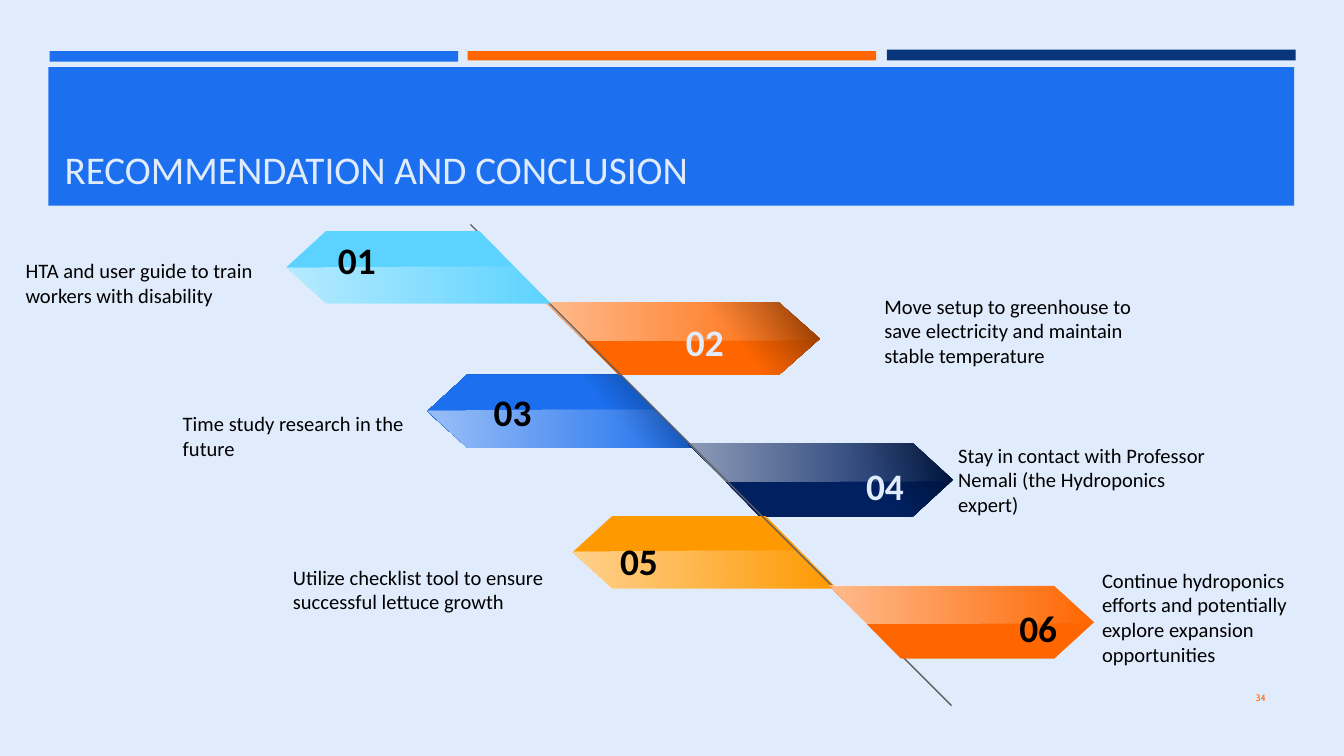
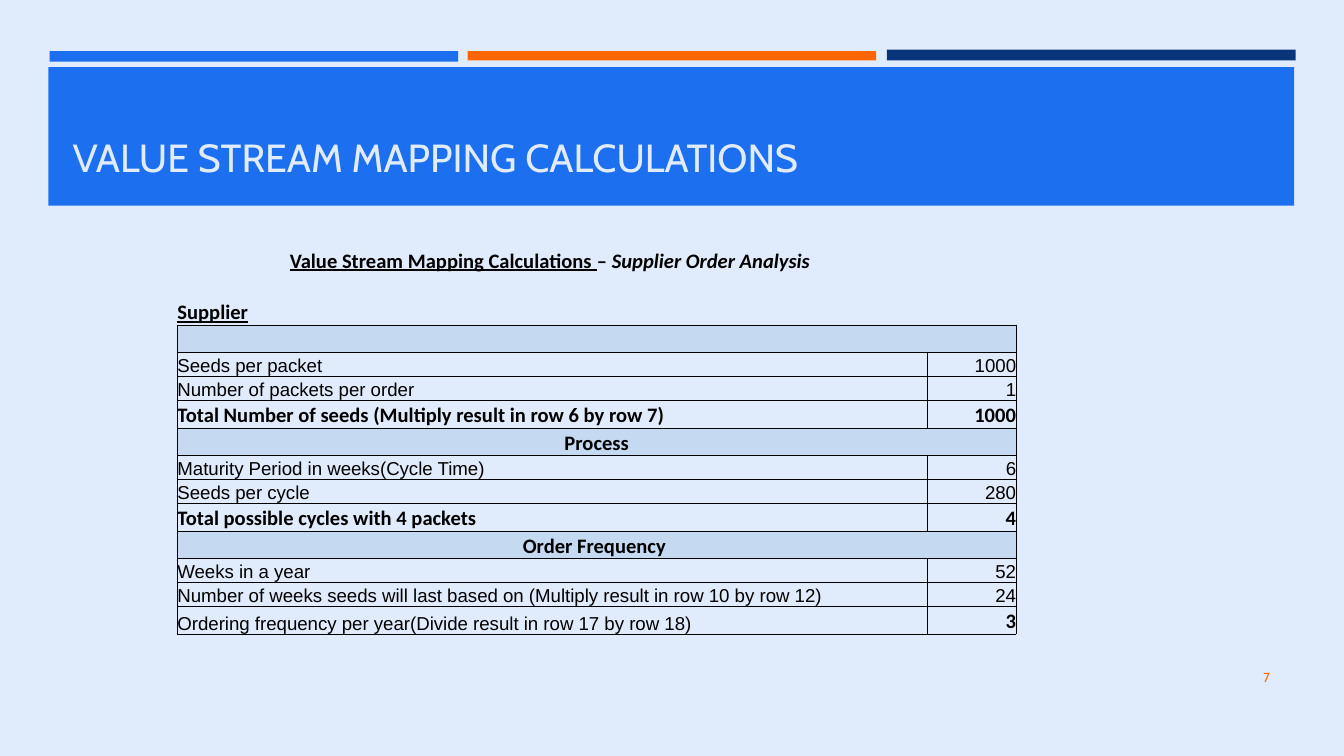
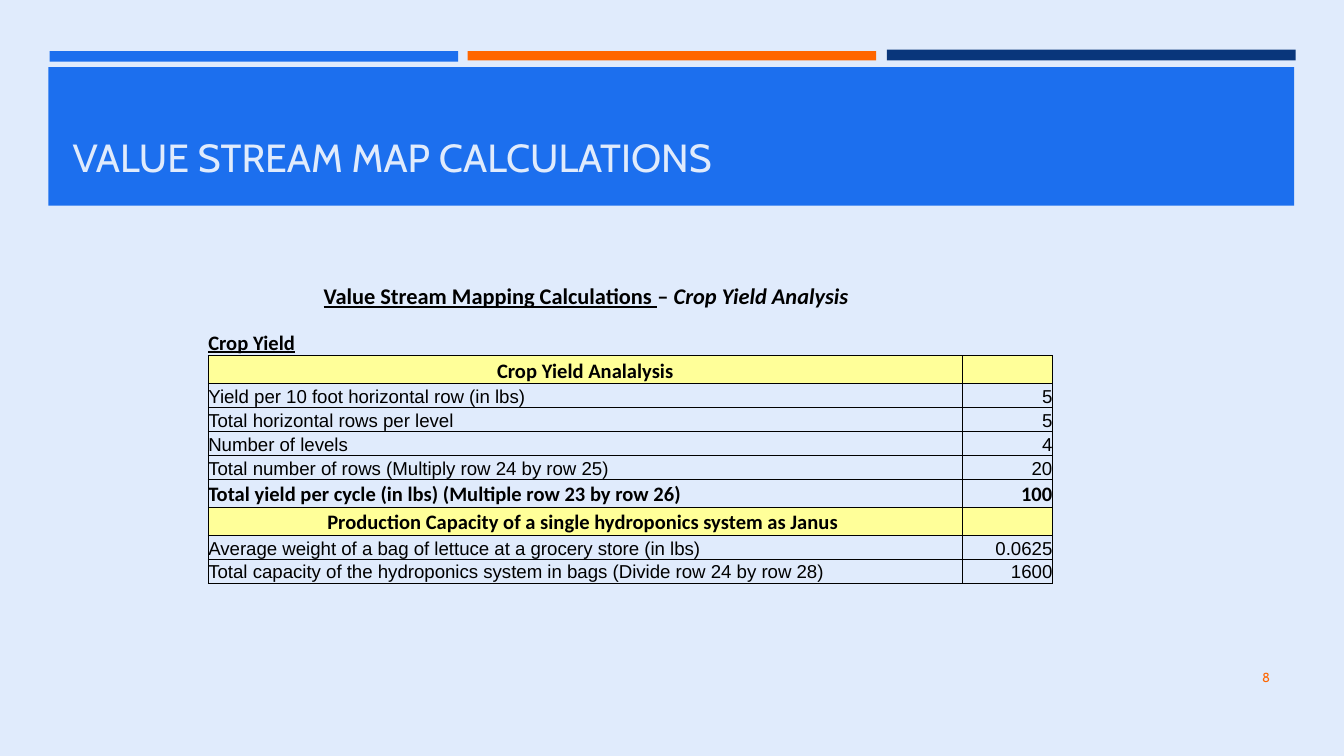
from dataclasses import dataclass
from typing import Optional

from lxml.etree import SubElement
from pptx import Presentation
from pptx.dml.color import RGBColor
from pptx.enum.shapes import MSO_CONNECTOR, MSO_SHAPE
from pptx.enum.text import MSO_ANCHOR as ANCHOR, MSO_AUTO_SIZE as AUTO, PP_ALIGN as ALIGN
from pptx.oxml import parse_xml
from pptx.oxml.ns import nsdecls, qn
from pptx.util import Inches, Pt

PALE, BLUE, ORANGE, NAVY = "E0EBFC", "1C6FEE", "FF6600", "09367B"
BLACK, GREY = "000000", "5F5F5F"
BARS = [(0.37, 0.38, 0.08, BLUE), (6.6, 0.37, 0.08, NAVY), (3.48, 0.38, 0.07, ORANGE)]
HEADING = "Value Stream Mapping Calculations "
RIBBON_H = 0.54
RIBBON_OUTLINE = [(0.15, 0), (0.73, 0), (1, 0.54), (0.15, 0.54), (0, 0.27)]
GLOSS_OUTLINE = [(0.86, 0), (1, 0.28), (0.15, 0.28), (0, 0.01)]


@dataclass(frozen=True)
class Style:
    """Font settings of a piece of text."""
    size: float
    font: str
    color: str = BLACK
    bold: bool = False
    underline: bool = False


PLAIN = Style(10, "Arial")
STRONG = Style(11, "Calibri", bold=True)
CAPTION = Style(11, "Calibri", bold=True, underline=True)
LABEL = Style(11, "Calibri")


@dataclass(frozen=True)
class Ribbon:
    """A numbered arrow along the diagonal and its label."""
    number: str
    left: float
    top: float
    color: str
    number_at: tuple[float, float]
    label: str
    label_box: tuple[float, float, float, float]
    right: bool = False
    shade: str = ""
    number_color: str = BLACK
    width: float = 1.97


@dataclass(frozen=True)
class Row:
    """A table row: its texts, styles, fill and borders."""
    label: str = ""
    value: str = ""
    style: Style = PLAIN
    value_style: Optional[Style] = None
    fill: str = ""
    edges: str = "LRTB"
    topic: str = ""


RIBBONS = [
    Ribbon("03", 3.18, 2.79, BLUE, (3.56, 2.84), "Time study research in the future",
           (1.36, 3.01, 2.03, 0.47), shade="09377C"),
    Ribbon("02", 4.06, 2.25, ORANGE, (4.99, 2.32),
           "Move setup to greenhouse to save electricity and maintain stable temperature",
           (6.58, 2.13, 2.03, 0.66), True, "803300", PALE, 2.04),
    Ribbon("04", 5.12, 3.3, "002060", (6.33, 3.39),
           "Stay in contact with Professor Nemali (the Hydroponics expert)",
           (7.13, 3.24, 2.03, 0.66), True, "001030", PALE),
    Ribbon("05", 4.26, 3.84, "FF9900", (4.5, 3.95),
           "Utilize checklist tool to ensure successful lettuce growth",
           (2.18, 4.15, 2.03, 0.47)),
    Ribbon("01", 2.13, 1.72, "5CD3FF", (2.4, 1.71),
           "HTA and user guide to train workers with disability",
           (0.19, 1.87, 2.03, 0.47)),
    Ribbon("06", 6.17, 4.36, ORANGE, (7.47, 4.45),
           "Continue hydroponics efforts and potentially explore expansion opportunities",
           (8.2, 4.17, 1.86, 0.84), True),
]


def band(label: str, fill: str) -> Row:
    """Describe a filled section row."""
    return Row(label, style=STRONG, fill=fill)


def total(label: str, value: str) -> Row:
    """Describe a bold total row."""
    return Row(label, value, STRONG)


SUPPLIER_FILL, YIELD_FILL = "C5D9F1", "FFFF99"
SUPPLIER_ROWS = [
    Row(topic="Supplier Order Analysis ", style=STRONG, edges=""),
    Row(edges=""),
    Row("Supplier", style=CAPTION, edges="B"),
    band("", SUPPLIER_FILL),
    Row("Seeds per packet", "1000"),
    Row("Number of packets per order", "1"),
    total("Total Number of seeds (Multiply result in row 6 by row 7)", "1000"),
    band("Process", SUPPLIER_FILL),
    Row("Maturity Period in weeks(Cycle Time)", "6"),
    Row("Seeds per cycle", "280"),
    total("Total possible cycles with 4 packets", "4"),
    band("Order Frequency ", SUPPLIER_FILL),
    Row("Weeks in a year", "52"),
    Row("Number of weeks seeds will last based on (Multiply result in row 10 by row 12)", "24"),
    Row("Ordering frequency per year(Divide result in row 17 by row 18)", "3", value_style=STRONG),
]
YIELD_ROWS = [
    Row("Crop Yield", style=CAPTION, edges="B"),
    band("Crop Yield Analalysis", YIELD_FILL),
    Row("Yield per 10 foot horizontal row (in lbs)", "5"),
    Row("Total horizontal rows per level", "5"),
    Row("Number of levels", "4"),
    Row("Total number of rows (Multiply row 24 by row 25)", "20"),
    total("Total yield per cycle (in lbs) (Multiple row 23 by row 26)", "100"),
    band("Production Capacity of a single hydroponics system as Janus ", YIELD_FILL),
    Row("Average weight of a bag of lettuce at a grocery store (in lbs)", "0.0625"),
    Row("Total capacity of the hydroponics system in bags (Divide row 24 by row 28)", "1600"),
]


def rgb(color: str) -> RGBColor:
    """Turn a hex string into a colour."""
    return RGBColor.from_string(color)


def set_font(font, style: Style) -> None:
    """Apply a style to a font."""
    font.size, font.name = Pt(style.size), style.font
    font.bold, font.underline = style.bold, style.underline
    font.color.rgb = rgb(style.color)


def write(p, text: str, style: Style, align=ALIGN.LEFT) -> None:
    """Write one uniformly styled paragraph."""
    p.alignment = align
    if text:
        p.add_run().text = text
        set_font(p.font, style)
    else:
        SubElement(p._p, qn("a:endParaRPr"), sz=str(int(style.size * 100)))


def write_heading(p, topic: str, size: float) -> None:
    """Write the underlined heading followed by its italic topic."""
    p.alignment = ALIGN.CENTER
    set_font(p.font, Style(size, "Calibri", bold=True))
    for text, underline, italic in ((HEADING, True, False), ("– ", False, False), (topic, False, True)):
        r = p.add_run()
        r.text = text
        r.font.underline, r.font.italic = underline, italic


def add_box(s, box: tuple, insets: tuple = (0.1, 0.05, 0.1, 0.05),
            anchor=ANCHOR.MIDDLE, wrap: bool = True, grow: bool = False):
    """Add an empty text box and return its first paragraph."""
    tf = s.shapes.add_textbox(*map(Inches, box)).text_frame
    tf.margin_left, tf.margin_top, tf.margin_right, tf.margin_bottom = map(Inches, insets)
    tf.vertical_anchor, tf.word_wrap = anchor, wrap
    tf.auto_size = AUTO.SHAPE_TO_FIT_TEXT if grow else AUTO.NONE
    return tf.paragraphs[0]


def add_rect(s, left: float, top: float, width: float, height: float, color: str) -> None:
    """Add a plain filled rectangle."""
    sp = s.shapes.add_shape(MSO_SHAPE.RECTANGLE, *map(Inches, (left, top, width, height)))
    sp.shadow.inherit = False
    sp.fill.solid()
    sp.fill.fore_color.rgb = rgb(color)
    sp.line.fill.background()


def add_slide(prs, title: str, page: str, font: str = "Cabin", title_at: tuple = (0.47, 0.6),
              page_at: tuple = (8.66, 4.89), page_size: float = 7):
    """Add a slide with background, bands, title and page number."""
    s = prs.slides.add_slide(prs.slide_layouts[6])
    s.background.fill.solid()
    s.background.fill.fore_color.rgb = rgb(PALE)
    for left, top, height, color in BARS:
        add_rect(s, left, top, 3.04, height, color)
    add_rect(s, 0.36, 0.5, 9.27, 1.03, BLUE)
    write(add_box(s, (*title_at, 9.05, 0.81), (0.07,) * 4, ANCHOR.BOTTOM), title, Style(21, font, PALE))
    write(add_box(s, (*page_at, 0.86, 0.3), (0.07, 0.04, 0.07, 0.04)), page,
          Style(page_size, "Cabin", ORANGE), ALIGN.RIGHT)
    return s


def set_gradient(sp, stops: list[tuple[int, str, int]], angle: int) -> None:
    """Fill a shape with (position, colour, opacity) stops, in percent."""
    gs = "".join(
        f'<a:gs pos="{pos * 1000}"><a:srgbClr val="{color}"><a:alpha val="{alpha * 1000}"/></a:srgbClr></a:gs>'
        for pos, color, alpha in stops)
    sp.fill.background()
    spPr = sp._element.spPr
    spPr.replace(spPr.find(qn("a:noFill")), parse_xml(
        f'<a:gradFill {nsdecls("a")} rotWithShape="1"><a:gsLst>{gs}</a:gsLst>'
        f'<a:lin ang="{angle * 60000}" scaled="0"/></a:gradFill>'))


def add_outline(s, points: list, left: float, top: float, width: float, right: bool):
    """Add a closed outline, turned round when it points right."""
    xy = [(Inches(left + x * width), Inches(top + y)) for x, y in points]
    fb = s.shapes.build_freeform(*xy[0])
    fb.add_line_segments(xy[1:], close=True)
    sp = fb.convert_to_shape()
    sp.shadow.inherit = False
    sp.line.fill.background()
    sp.rotation = 180 if right else 0
    return sp


def add_ribbon(s, rb: Ribbon) -> None:
    """Add a glossy ribbon with its number and label."""
    turn = 180 if rb.right else 0
    sp = add_outline(s, RIBBON_OUTLINE, rb.left, rb.top, rb.width, rb.right)
    if rb.shade:
        set_gradient(sp, [(0, rb.shade, 100), (35, rb.color, 100), (100, rb.color, 100)], 140 + turn)
    else:
        sp.fill.solid()
        sp.fill.fore_color.rgb = rgb(rb.color)
    gloss_top = rb.top if rb.right else rb.top + RIBBON_H - 0.28
    gloss = add_outline(s, GLOSS_OUTLINE, rb.left, gloss_top, rb.width, rb.right)
    set_gradient(gloss, [(0, "FFFFFF", 56), (100, "FFFFFF", 0)], turn)
    write(add_box(s, (*rb.number_at, 0.51, 0.44), wrap=False, grow=True), rb.number,
          Style(20, "Calibri", rb.number_color, True), ALIGN.CENTER)
    write(add_box(s, rb.label_box, (0, 0.05, 0.1, 0.05), grow=True), rb.label, LABEL)


def add_spine(s) -> None:
    """Add the diagonal line behind the ribbons."""
    c = s.shapes.add_connector(MSO_CONNECTOR.STRAIGHT, *map(Inches, (3.5, 1.67, 7.08, 5.25)))
    c.line.color.rgb = rgb(GREY)
    c.line.width = Pt(0.75)
    SubElement(c._element.spPr, qn("a:effectLst"))


def set_borders(cell, edges: str) -> None:
    """Draw thin black lines on the given edges and none on the others."""
    tcPr = cell._tc.get_or_add_tcPr()
    for i, edge in enumerate("LRTB"):
        fill = f'<a:solidFill><a:srgbClr val="{BLACK}"/></a:solidFill>' if edge in edges else "<a:noFill/>"
        tcPr.insert(i, parse_xml(f'<a:ln{edge} {nsdecls("a")} w="{Pt(0.5)}">{fill}</a:ln{edge}>'))


def add_rows(s, box: tuple[float, float, float, float], value_width: float,
             rows: list[Row], merge_bands: bool) -> None:
    """Add a two-column calculation table, sharing its height by text size."""
    left, top, width, height = box
    weights = [0.21 if STRONG.size in (row.style.size, (row.value_style or row.style).size) else 0.18
               for row in rows]
    table = s.shapes.add_table(len(rows), 2, *map(Inches, box)).table
    table.first_row = table.horz_banding = False
    for col, col_width in zip(table.columns, (width - value_width, value_width)):
        col.width = Inches(col_width)
    for i, row in enumerate(rows):
        table.rows[i].height = Inches(height * weights[i] / sum(weights))
        cells = [table.cell(i, 0), table.cell(i, 1)]
        for cell in cells:
            cell.margin_left = cell.margin_right = cell.margin_top = cell.margin_bottom = 0
            cell.vertical_anchor = ANCHOR.BOTTOM
            if row.fill:
                cell.fill.solid()
                cell.fill.fore_color.rgb = rgb(row.fill)
            else:
                cell.fill.background()
            set_borders(cell, row.edges)
        label, value = (cell.text_frame.paragraphs[0] for cell in cells)
        if row.topic:
            write_heading(label, row.topic, row.style.size)
        else:
            write(label, row.label, row.style, ALIGN.CENTER if row.fill else ALIGN.LEFT)
        write(value, row.value, row.value_style or row.style, ALIGN.RIGHT)
        if row.fill and merge_bands:
            cells[0].merge(cells[1])


def main() -> None:
    """Build and save the three slides."""
    prs = Presentation()
    prs.slide_width = Inches(10)
    prs.slide_height = prs.slide_width * 9 // 16

    s = add_slide(prs, "RECOMMENDATION AND CONCLUSION", "34", "Calibri", (0.41, 0.69), (8.63, 5.04), 5)
    for rb in RIBBONS[:4]:
        add_ribbon(s, rb)
    add_spine(s)
    for rb in RIBBONS[4:]:
        add_ribbon(s, rb)

    s = add_slide(prs, "VALUE STREAM MAPPING CALCULATIONS", "7")
    add_rows(s, (1.32, 1.83, 6.24, 2.89), 0.66, SUPPLIER_ROWS, True)

    s = add_slide(prs, "VALUE STREAM MAP CALCULATIONS", "8")
    add_rows(s, (1.55, 2.44, 6.28, 1.9), 0.67, YIELD_ROWS, False)
    write_heading(add_box(s, (1.88, 2.05, 5, 0.3), anchor=ANCHOR.TOP, grow=True), "Crop Yield Analysis ", 12)

    prs.save("out.pptx")


if __name__ == "__main__":
    main()
